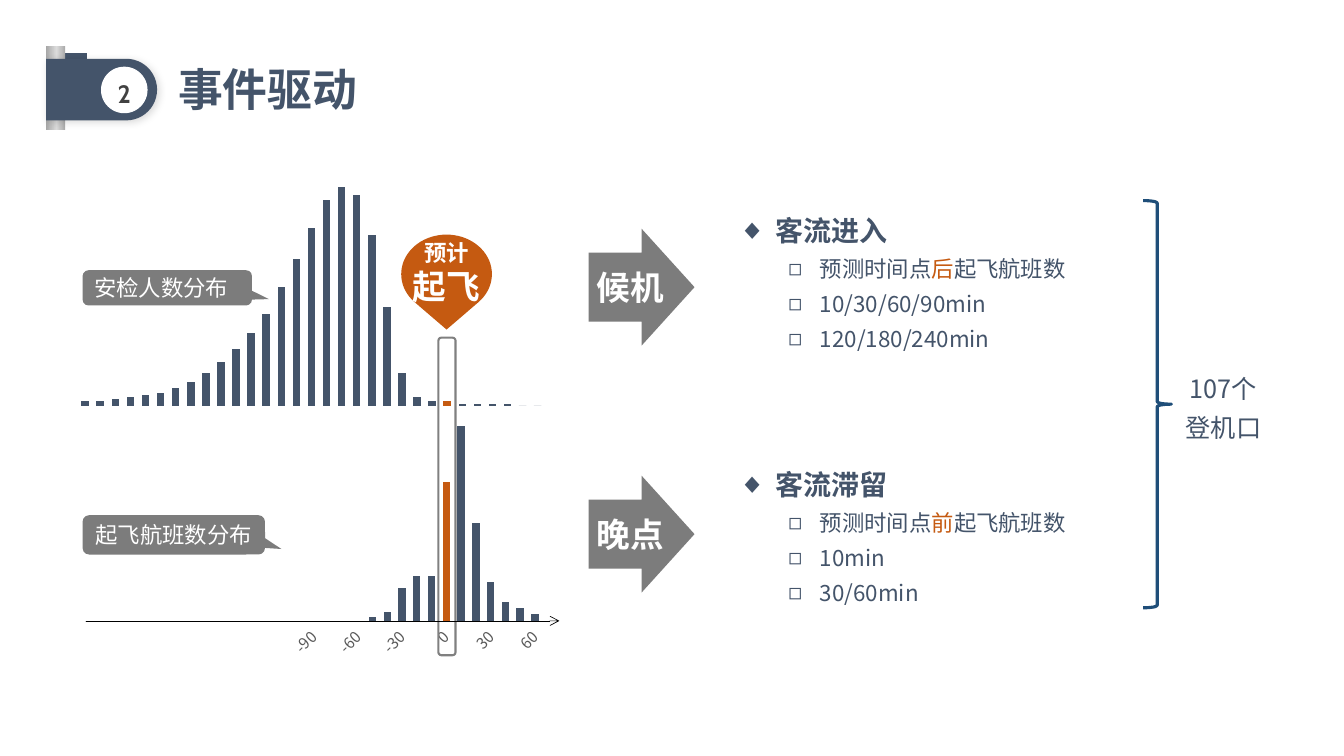
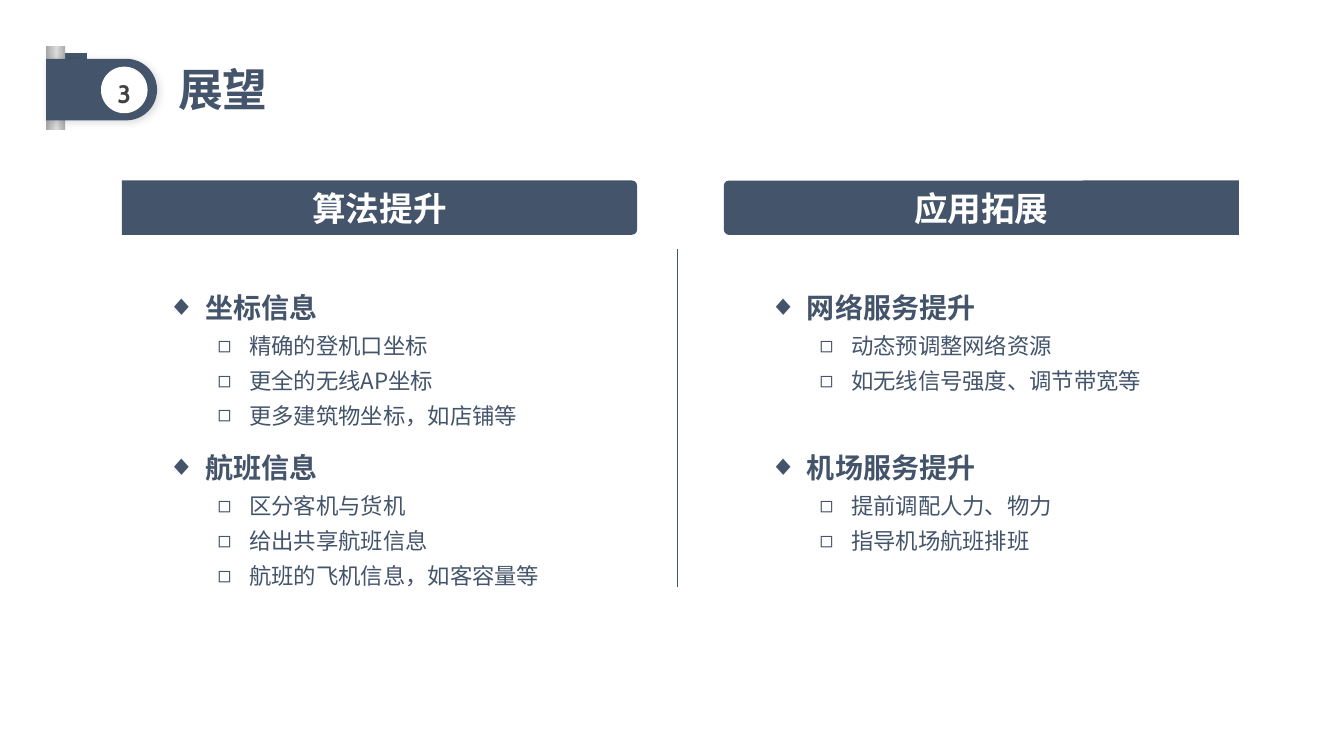
from dataclasses import dataclass
from math import cos, radians, sin

from lxml.etree import SubElement
from pptx import Presentation
from pptx.chart.data import CategoryChartData
from pptx.dml.color import RGBColor
from pptx.enum.chart import XL_CHART_TYPE, XL_TICK_MARK
from pptx.enum.shapes import MSO_CONNECTOR, MSO_SHAPE
from pptx.enum.text import MSO_ANCHOR, MSO_AUTO_SIZE, PP_ALIGN
from pptx.oxml.ns import qn
from pptx.util import Pt

LEFT, CENTER = PP_ALIGN.LEFT, PP_ALIGN.CENTER
TOP, MIDDLE = MSO_ANCHOR.TOP, MSO_ANCHOR.MIDDLE
RECTANGLE, OVAL = MSO_SHAPE.RECTANGLE, MSO_SHAPE.OVAL
ROUNDED, HALF_ROUNDED = MSO_SHAPE.ROUNDED_RECTANGLE, MSO_SHAPE.ROUND_2_SAME_RECTANGLE
RIGHT_ARROW, RIGHT_BRACE = MSO_SHAPE.RIGHT_ARROW, MSO_SHAPE.RIGHT_BRACE
CALLOUT = MSO_SHAPE.ROUNDED_RECTANGULAR_CALLOUT
STRAIGHT = MSO_CONNECTOR.STRAIGHT


@dataclass(frozen=True)
class TextStyle:
    size: float
    color: str
    bold: bool = False
    font: str = "Noto Sans CJK SC"


class Theme:
    navy, orange, gray, white, black = "44546A", "C55A11", "7C7C7C", "FFFFFF", "000000"
    brace, marker, axis_line = "1F4E79", "808080", "D9D9D9"
    roll_stops = ((0, "A7A7A7"), (54, "DBDBDB"), (100, "ABABAB"))
    title = TextStyle(32, navy, True)
    number = TextStyle(18, "414141", True, "Cabin")
    heading = TextStyle(20, navy, True)
    item = TextStyle(16, navy)
    note = TextStyle(18, navy)
    label = TextStyle(16, white)
    label_bold = TextStyle(16, white, True)
    banner = TextStyle(24, white, True)
    chart = TextStyle(10, black, font="Calibri")
    tick = TextStyle(11, "595959")


def write(text_frame, lines, alignment=LEFT, spacing=1.0, anchor=TOP):
    """Fill a frame with (text, style) lines; text between bars is in the accent colour."""
    text_frame.word_wrap = True
    text_frame.auto_size = MSO_AUTO_SIZE.NONE
    text_frame.vertical_anchor = anchor
    for index, (text, style) in enumerate(lines):
        paragraph = text_frame.add_paragraph() if index else text_frame.paragraphs[0]
        paragraph.alignment = alignment
        paragraph.line_spacing = spacing
        paragraph.space_before = Pt(0)
        for part_index, part in enumerate(text.split("|")):
            run = paragraph.add_run()
            run.text = part
            run.font.name = style.font
            run.font.size = Pt(style.size)
            run.font.bold = style.bold
            run.font.color.rgb = RGBColor.from_string(Theme.orange if part_index % 2 else style.color)
            SubElement(run.font._element, qn("a:ea"), typeface=style.font)


def add_block(slide, kind, box, fill=None, line=None, line_width=0.75, turn=0, adjustments=()):
    """Add a preset shape whose visible bounds are box, also after a quarter turn."""
    left, top, width, height = box
    if turn:
        left, top = left + (width - height) / 2, top + (height - width) / 2
        width, height = height, width
    shape = slide.shapes.add_shape(kind, Pt(left), Pt(top), Pt(width), Pt(height))
    shape.rotation = turn
    shape.shadow.inherit = False
    for index, value in enumerate(adjustments):
        shape.adjustments[index] = value
    if fill:
        shape.fill.solid()
        shape.fill.fore_color.rgb = RGBColor.from_string(fill)
    else:
        shape.fill.background()
    if line:
        shape.line.color.rgb = RGBColor.from_string(line)
        shape.line.width = Pt(line_width)
    else:
        shape.line.fill.background()
    return shape


presentation = Presentation()
presentation.slide_width, presentation.slide_height = Pt(960), Pt(540)
layouts = presentation.slide_layouts
two_content, comparison = layouts[3], layouts[4]

list_width, list_height = 317.5, 117.4
pages = [
    (two_content, "2", "事件驱动", [
        (520, 142, "客流进入", ["预测时间点|后|起飞航班数", "10/30/60/90min", "120/180/240min"]),
        (520, 323.3, "客流滞留", ["预测时间点|前|起飞航班数", "10min", "30/60min"]),
    ]),
    (comparison, "3", "展望", [
        (112.3, 196.6, "坐标信息", ["精确的登机口坐标", "更全的无线AP坐标", "更多建筑物坐标，如店铺等"]),
        (112.3, 311, "航班信息", ["区分客机与货机", "给出共享航班信息", "航班的飞机信息，如客容量等"]),
        (542.2, 196.6, "网络服务提升", ["动态预调整网络资源", "如无线信号强度、调节带宽等"]),
        (542.2, 311, "机场服务提升", ["提前调配人力、物力", "指导机场航班排班"]),
    ]),
]

# Titles, number badges and bullet lists
for layout, number, title_text, outlines in pages:
    slide = presentation.slides.add_slide(layout)
    title, *bodies = slide.placeholders
    title.left, title.top, title.width, title.height = Pt(120), Pt(45.4), Pt(207), Pt(40.3)
    write(title.text_frame, [(title_text, Theme.title)], spacing=0.9, anchor=MIDDLE)

    add_block(slide, RECTANGLE, (33, 38, 29, 7), Theme.navy)
    roll = add_block(slide, RECTANGLE, (33, 33, 13.6, 60))
    roll.fill.gradient()
    roll.fill.gradient_angle = 0
    stop_list = roll._element.spPr.find(".//" + qn("a:gsLst"))
    stop_list.clear()
    for position, color in Theme.roll_stops:
        stop = SubElement(stop_list, qn("a:gs"), pos=str(position * 1000))
        SubElement(stop, qn("a:srgbClr"), val=color)

    badge = add_block(slide, HALF_ROUNDED, (33, 42, 79.2, 44), Theme.navy, turn=90, adjustments=(0.5, 0))
    shadow = SubElement(badge._element.spPr.find(qn("a:effectLst")), qn("a:outerShdw"),
                        blurRad=str(Pt(6)), dist=str(Pt(2)), dir="2700000", algn="tl", rotWithShape="0")
    shadow_color = SubElement(shadow, qn("a:srgbClr"), val=Theme.black)
    SubElement(shadow_color, qn("a:alpha"), val="15000")

    disc = add_block(slide, OVAL, (72.5, 48, 32.5, 32.5), Theme.white, Theme.white)
    frame = disc.text_frame
    frame.margin_left = frame.margin_right = frame.margin_top = frame.margin_bottom = 0
    write(frame, [(number, Theme.number)], CENTER, 1.2, MIDDLE)

    for body, (left, top, heading, items) in zip(bodies, outlines):
        body.left, body.top, body.width, body.height = Pt(left), Pt(top), Pt(list_width), Pt(list_height)
        lines = [(heading, Theme.heading)] + [(item, Theme.item) for item in items]
        write(body.text_frame, lines, spacing=1.3)
        for index, paragraph in enumerate(body.text_frame.paragraphs):
            paragraph.level = 1 if index else 0
            margin, indent, bullet = (58.5, -22.5, "◻") if index else (27, -27, "◆")
            properties = paragraph._p.get_or_add_pPr()
            properties.set("marL", str(Pt(margin)))
            properties.set("indent", str(Pt(indent)))
            SubElement(properties, qn("a:buChar"), char=bullet)

events, outlook = presentation.slides

# Distribution charts
passengers = [2, 2, 3, 4, 5, 6, 8, 11, 15, 20, 26, 33, 42, 54, 67, 81,
              94, 100, 96, 78, 45, 15, 4, 2, 2, 1, 1, 1, 1, 0, 0]
flights = [0] * 19 + [2, 5, 17, 23, 23, 71, 100, 50, 20, 10, 7, 4]
departure_index = 24
charts = [
    ((39.6, 96.5, 360, 204.5), [str(n) for n in range(1, 32)], passengers, -45, 114,
     (0.044, 0.073, 0.928, 0.873), False),
    ((43.2, 260.6, 360, 216), range(-240, 61, 10), flights, -27, 121,
     (0.048, 0.065, 0.908, 0.784), True),
]
for box, categories, values, overlap, maximum, plot_box, has_labels in charts:
    chart_data = CategoryChartData()
    chart_data.categories = categories
    if has_labels:
        chart_data.categories.number_format = '[>=-90]0;""'
    chart_data.add_series("Series 1", values)
    chart = events.shapes.add_chart(XL_CHART_TYPE.COLUMN_CLUSTERED, *map(Pt, box), chart_data).chart
    chart.has_title = chart.has_legend = False
    chart.font.name = Theme.chart.font
    chart.font.size = Pt(Theme.chart.size)
    chart.font.color.rgb = RGBColor.from_string(Theme.chart.color)

    plot = chart.plots[0]
    plot.vary_by_categories = False
    plot.gap_width, plot.overlap = 100, overlap
    series = plot.series[0]
    for target, color in ((series, Theme.navy), (series.points[departure_index], Theme.orange)):
        target.format.fill.solid()
        target.format.fill.fore_color.rgb = RGBColor.from_string(color)

    value_axis, category_axis = chart.value_axis, chart.category_axis
    value_axis.minimum_scale, value_axis.maximum_scale = 0, maximum
    value_axis.has_major_gridlines = False
    value_axis.visible = False
    category_axis.visible = has_labels
    if has_labels:
        category_axis.major_tick_mark = XL_TICK_MARK.NONE
        category_axis.format.line.color.rgb = RGBColor.from_string(Theme.axis_line)
        category_axis.format.line.width = Pt(0.75)
        tick_font = category_axis.tick_labels.font
        tick_font.name, tick_font.size = Theme.tick.font, Pt(Theme.tick.size)
        tick_font.color.rgb = RGBColor.from_string(Theme.tick.color)
        axis_element = category_axis._element
        axis_element.find(qn("c:txPr")).find(qn("a:bodyPr")).set("rot", "-2700000")
        skip = SubElement(axis_element, qn("c:tickLblSkip"), val="3")
        axis_element.find(qn("c:noMultiLvlLbl")).addprevious(skip)

    plot_area = chart._chartSpace.chart.plotArea
    for automatic_layout in plot_area.findall(qn("c:layout")):
        plot_area.remove(automatic_layout)
    plot_layout = SubElement(plot_area, qn("c:layout"))
    plot_area.insert(0, plot_layout)
    manual = SubElement(plot_layout, qn("c:manualLayout"))
    settings = [("layoutTarget", "inner"), ("xMode", "edge"), ("yMode", "edge")]
    for name, value in settings + list(zip("xywh", plot_box)):
        SubElement(manual, qn(f"c:{name}"), val=str(value))

# Arrows from the charts to the features
for top, text in ((163.4, "候机"), (339.8, "晚点")):
    arrow = add_block(events, RIGHT_ARROW, (420.5, top, 75.6, 83.5), Theme.gray, adjustments=(0.59, 0.5))
    arrow.text_frame.margin_left, arrow.text_frame.margin_right = Pt(6), 0
    write(arrow.text_frame, [(text, Theme.banner)], CENTER, anchor=MIDDLE)
    arrow.text_frame.word_wrap = False

add_block(events, RIGHT_BRACE, (816.5, 143.3, 20.2, 290.9), line=Theme.brace, line_width=2.25)
gates = events.shapes.add_textbox(Pt(838), Pt(256.3), Pt(72), Pt(64))
write(gates.text_frame, [("107个", Theme.note), ("登机口", Theme.note)], CENTER, 1.3)

# Departure marker and pin
add_block(events, ROUNDED, (313.2, 241.2, 12.2, 226.8), line=Theme.marker, line_width=1.5)
pin_x, pin_y, radius_x, radius_y, tip_y = 319, 195.8, 32.4, 28.2, 235.4
rim = [(Pt(pin_x + radius_x * cos(radians(angle))), Pt(pin_y + radius_y * sin(radians(angle))))
       for angle in range(45, -226, -5)]
builder = events.shapes.build_freeform(Pt(pin_x), Pt(tip_y))
builder.add_line_segments(rim, close=True)
pin = builder.convert_to_shape()
pin.shadow.inherit = False
pin.fill.solid()
pin.fill.fore_color.rgb = RGBColor.from_string(Theme.orange)
pin.line.fill.background()
pin.text_frame.margin_left = pin.text_frame.margin_right = 0
pin.text_frame.margin_top = Pt(3)
write(pin.text_frame, [("预计", Theme.label_bold), ("起飞", Theme.banner)], CENTER)

callouts = [
    ((59, 193, 121, 25.2), (0.6, 0.32), "安检人数分布", LEFT),
    ((59, 368, 130.3, 28.1), (0.59, 0.36), "起飞航班数分布", CENTER),
]
for box, pointer, text, alignment in callouts:
    callout = add_block(events, CALLOUT, box, Theme.gray, adjustments=pointer)
    write(callout.text_frame, [(text, Theme.label)], alignment, anchor=MIDDLE)

# Time axis, and the divider between the two outlook columns
rules = [
    (events, (61.2, 443.5, 399.6, 443.5), Theme.black, 0.5, True),
    (outlook, (483.8, 177.8, 483.8, 419), Theme.navy, 0.75, False),
]
for slide, ends, color, width, has_arrow in rules:
    rule = slide.shapes.add_connector(STRAIGHT, *map(Pt, ends))
    rule.line.color.rgb = RGBColor.from_string(color)
    rule.line.width = Pt(width)
    if has_arrow:
        SubElement(rule.line._get_or_add_ln(), qn("a:tailEnd"), type="arrow")
    SubElement(rule._element.spPr, qn("a:effectLst"))

# Outlook column banners
for left, turn, text in ((87.1, 90, "算法提升"), (517, 270, "应用拓展")):
    add_block(outlook, HALF_ROUNDED, (left, 128.9, 368, 38.9), Theme.navy, turn=turn, adjustments=(0.1, 0))
    banner = outlook.shapes.add_textbox(Pt(left), Pt(128.9), Pt(368), Pt(38.9))
    write(banner.text_frame, [(text, Theme.banner)], CENTER, anchor=MIDDLE)

presentation.save("out.pptx")
